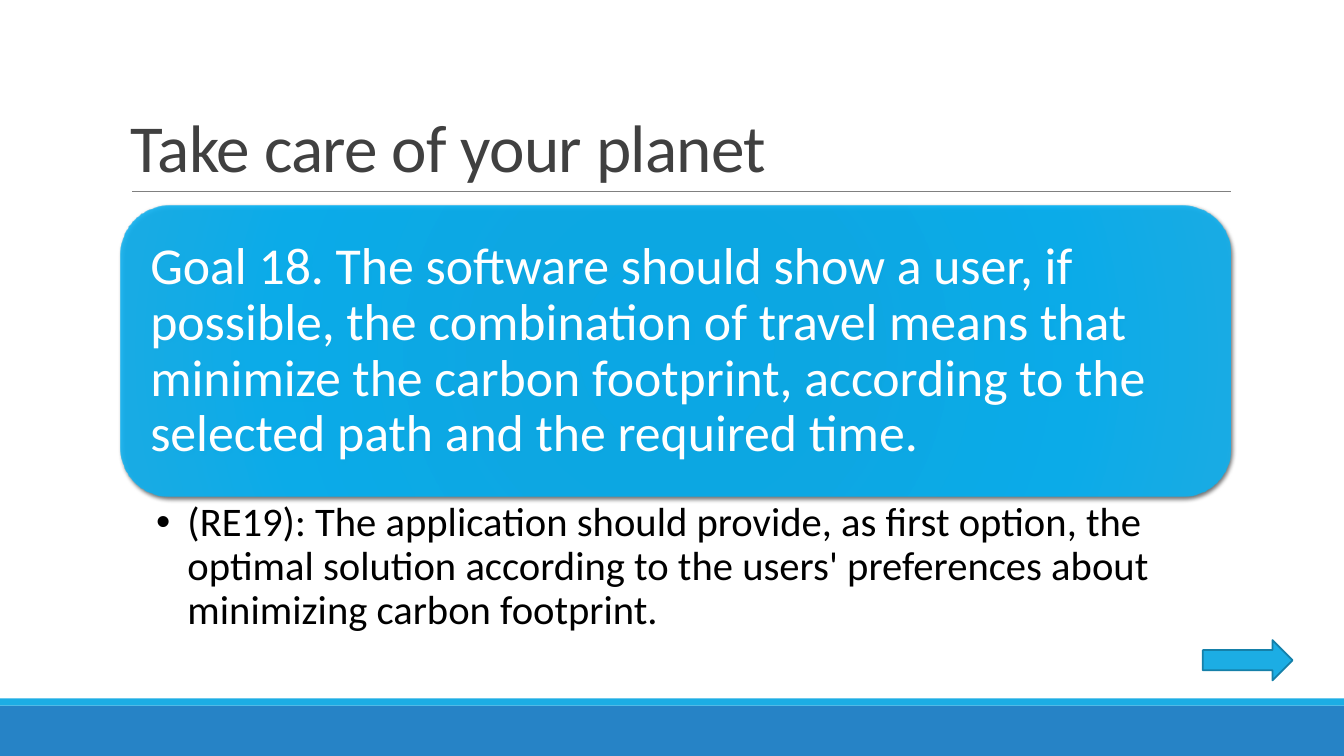
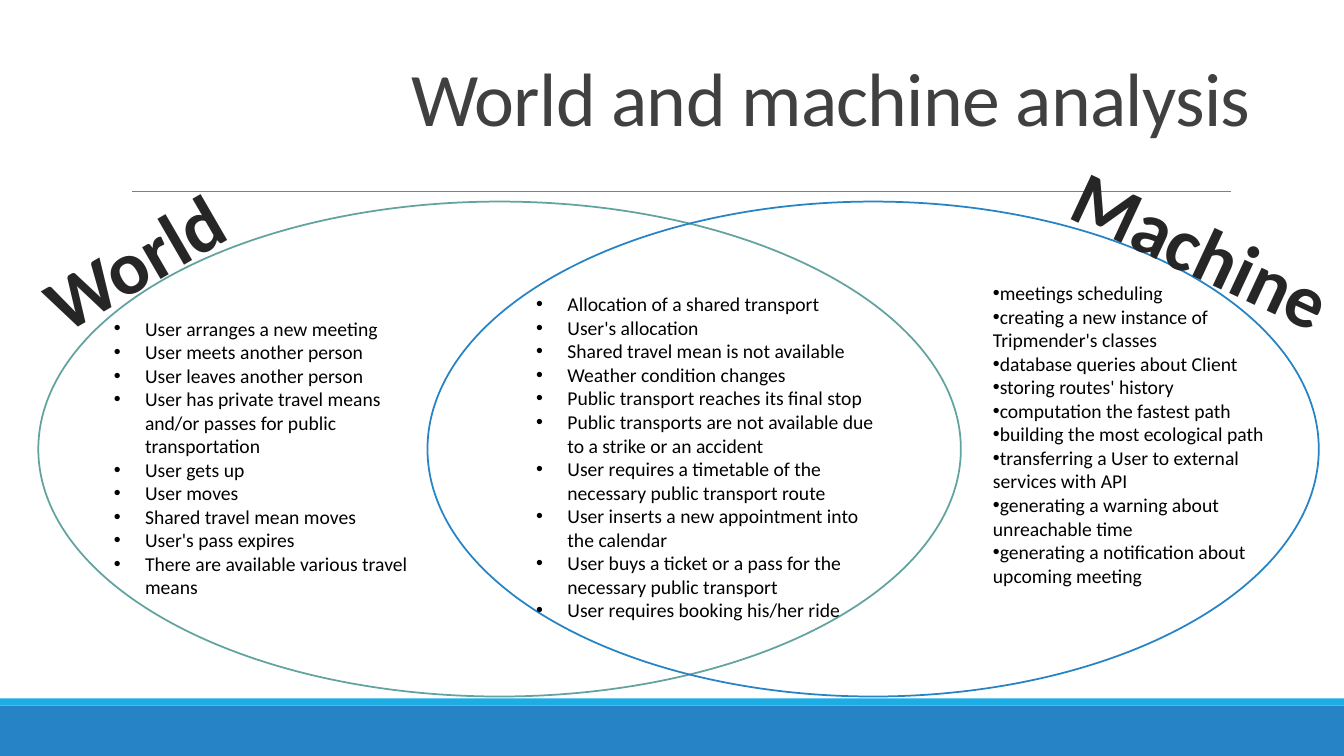
from dataclasses import dataclass
from typing import NamedTuple

from lxml.etree import SubElement
from pptx import Presentation
from pptx.dml.color import RGBColor
from pptx.enum.shapes import MSO_CONNECTOR as Connector, MSO_SHAPE as Preset
from pptx.enum.text import MSO_ANCHOR as Anchor, PP_ALIGN as Align
from pptx.oxml import parse_xml
from pptx.oxml.ns import nsdecls, qn
from pptx.util import Emu, Pt

PX = 9144


class Box(NamedTuple):
    """A rectangle in px, at 100 px to the inch."""
    left: int
    top: int
    width: int
    height: int

    def emu(self):
        """Return the four lengths in EMU."""
        return [Emu(length * PX) for length in self]

    def within(self, left, top, width, height):
        """Return a box placed relative to this one."""
        return Box(self.left + left, self.top + top, width, height)


@dataclass(frozen=True)
class Theme:
    """Colours, font and type sizes shared by the slides."""
    font: str = "Calibri"
    blue: str = "2683C6"
    cyan: str = "1CADE4"
    cyan_dark: str = "1580A9"
    green: str = "62A39F"
    rule: str = "808080"
    title: str = "404040"
    label: str = "262626"
    text: str = "000000"
    white: str = "FFFFFF"
    card_stops: tuple = ((0, "00ADEF"), (34, "03ADEE"), (70, "00B1F5"), (100, "12B1EE"))
    title_size: int = 48
    display_size: int = 54
    goal_size: int = 37
    requirement_size: int = 29
    list_size: int = 14
    outline: float = 1.25


THEME = Theme()
PAGE = Box(0, 0, 1333, 750)
TEXT_INSETS = (10, 5, 10, 5)

GOAL = (
    "Goal 18. The software should show a user, if possible, the combination of "
    "travel means that minimize the carbon footprint, according to the selected "
    "path and the required time."
)
REQUIREMENT = (
    "(RE19): The application should provide, as first option, the optimal solution "
    "according to the users' preferences about minimizing carbon footprint."
)
WORLD_ITEMS = (
    "User arranges a new meeting",
    "User meets another person",
    "User leaves another person",
    "User has private travel means and/or passes for public transportation",
    "User gets up",
    "User moves",
    "Shared travel mean moves",
    "User's pass expires",
    "There are available various travel means",
)
SHARED_ITEMS = (
    "Allocation of a shared transport",
    "User's allocation",
    "Shared travel mean is not available",
    "Weather condition changes",
    "Public transport reaches its final stop",
    "Public transports are not available due to a strike or an accident",
    "User requires a timetable of the necessary public transport route",
    "User inserts a new appointment into the calendar",
    "User buys a ticket or a pass for the necessary public transport",
    "User requires booking his/her ride",
)
MACHINE_ITEMS = (
    "meetings scheduling",
    "creating a new instance of Tripmender's classes",
    "database queries about Client",
    "storing routes' history",
    "computation the fastest path",
    "building the most ecological path",
    "transferring a User to external services with API",
    "generating a warning about unreachable time",
    "generating a notification about upcoming meeting",
)


def color(value):
    """Turn a hex string into a colour."""
    return RGBColor.from_string(value)


def add_bullet(paragraph, indent):
    """Give a paragraph a round bullet with a hanging indent in px."""
    properties = paragraph._p.get_or_add_pPr()
    properties.set("marL", str(indent * PX))
    properties.set("indent", str(-indent * PX))
    SubElement(properties, qn("a:buFont"), typeface="Arial")
    SubElement(properties, qn("a:buChar"), char="•")


def write_text(shape, lines, size, ink, *, align=Align.LEFT, anchor=Anchor.TOP,
               insets=TEXT_INSETS, wrap=True, bold=False, spacing=1.0,
               bullet_indent=None, tracking=0):
    """Fill a shape with equally styled paragraphs."""
    frame = shape.text_frame
    frame.word_wrap = wrap
    frame.vertical_anchor = anchor
    (frame.margin_left, frame.margin_top,
     frame.margin_right, frame.margin_bottom) = [Emu(inset * PX) for inset in insets]
    frame.text = "\n".join(lines)
    for paragraph in frame.paragraphs:
        if bullet_indent is not None:
            add_bullet(paragraph, bullet_indent)
        paragraph.alignment = align
        paragraph.line_spacing = spacing
        font = paragraph.font
        font.name = THEME.font
        font.size = Pt(size)
        font.bold = bold
        font.color.rgb = color(ink)
        if tracking:
            font._rPr.set("spc", str(tracking))


def add_text(slide, box, lines, size, ink, **style):
    """Add a text box and return it."""
    shape = slide.shapes.add_textbox(*box.emu())
    write_text(shape, lines, size, ink, **style)
    return shape


def add_preset(slide, preset, box, fill=None, line=None):
    """Add a preset shape with a plain fill and outline."""
    shape = slide.shapes.add_shape(preset, *box.emu())
    shape.shadow.inherit = False
    if fill:
        shape.fill.solid()
        shape.fill.fore_color.rgb = color(fill)
    else:
        shape.fill.background()
    if line:
        shape.line.color.rgb = color(line)
        shape.line.width = Pt(THEME.outline)
    else:
        shape.line.fill.background()
    return shape


def add_frame(slide, page):
    """Draw the bottom bands and the rule below the title."""
    add_preset(slide, Preset.RECTANGLE, page.within(0, 700, page.width, 50), THEME.blue)
    add_preset(slide, Preset.RECTANGLE, page.within(0, 693, page.width, 7), THEME.cyan)
    left, top, width, _ = page.within(131, 190, 1090, 0).emu()
    rule = slide.shapes.add_connector(Connector.STRAIGHT, left, top, left + width, top)
    rule.line.color.rgb = color(THEME.rule)
    rule.line.width = Pt(0.5)
    SubElement(rule._element.spPr, qn("a:effectLst"))


def add_title(slide, box, text, size, align=Align.LEFT):
    """Write a slide title on the bottom of its box."""
    add_text(slide, box, [text], size, THEME.title, align=align,
             anchor=Anchor.BOTTOM, spacing=0.85, tracking=-50)


def style_card(card):
    """Give a card its radial gradient and soft shadow."""
    stops = "".join(
        f'<a:gs pos="{position * 1000}"><a:srgbClr val="{value}">'
        '<a:alpha val="90000"/></a:srgbClr></a:gs>'
        for position, value in THEME.card_stops
    )
    properties = card._element.spPr
    properties.remove(properties.find(qn("a:noFill")))
    properties.find(qn("a:prstGeom")).addnext(parse_xml(
        f'<a:gradFill {nsdecls("a")} rotWithShape="1"><a:gsLst>{stops}</a:gsLst>'
        '<a:path path="circle"><a:fillToRect l="100000" t="100000" r="100000" b="100000"/>'
        '</a:path></a:gradFill>'))
    properties.find(qn("a:effectLst")).append(parse_xml(
        f'<a:outerShdw {nsdecls("a")} blurRad="{Pt(3)}" dist="{Pt(2)}" dir="2700000" '
        'algn="ctr" rotWithShape="0"><a:srgbClr val="000000"><a:alpha val="60000"/>'
        '</a:srgbClr></a:outerShdw>'))


def add_goal(slide, box):
    """Place the goal card with its requirement underneath."""
    card_height = 289
    card = add_preset(slide, Preset.ROUNDED_RECTANGLE, box._replace(height=card_height))
    style_card(card)
    write_text(card, [GOAL], THEME.goal_size, THEME.white, anchor=Anchor.MIDDLE,
               insets=(15, 15, 15, 15), spacing=0.9)
    add_text(slide, box.within(0, card_height, box.width, box.height - card_height),
             [REQUIREMENT], THEME.requirement_size, THEME.text,
             insets=(35, 5, 29, 5), spacing=0.9, bullet_indent=31)


def add_venn(slide, box):
    """Place two overlapping ellipses with their lists and slanted labels."""
    ellipses = ((0, 915, THEME.green), (386, 884, THEME.blue))
    for left, width, line in ellipses:
        add_preset(slide, Preset.OVAL, box.within(left, 0, width, box.height), line=line)
    lists = (
        (box.within(65, 109, 332, 316), WORLD_ITEMS, 31),
        (box.within(484, 85, 356, 340), SHARED_ITEMS, 31),
        (box.within(937, 74, 324, 316), MACHINE_ITEMS, 0),
    )
    for place, items, indent in lists:
        add_text(slide, place, items, THEME.list_size, THEME.text, bullet_indent=indent)
    labels = (
        (box.within(-12, 8, 213, 101), "World", 329.9),
        (box.within(1008, -4, 293, 101), "Machine", 25.1),
    )
    for place, word, angle in labels:
        label = add_text(slide, place, [word], THEME.display_size, THEME.label,
                         align=Align.CENTER, wrap=False, bold=True)
        label.rotation = angle


def build_goal_slide(slide, page):
    """Build the slide about the carbon footprint goal."""
    add_frame(slide, page)
    add_title(slide, page.within(120, 31, 1100, 159), "Take care of your planet",
              THEME.title_size)
    add_goal(slide, page.within(120, 204, 1100, 436))
    add_preset(slide, Preset.RIGHT_ARROW, page.within(1193, 635, 89, 40),
               THEME.cyan, THEME.cyan_dark)


def build_analysis_slide(slide, page):
    """Build the slide with the world and machine diagram."""
    add_frame(slide, page)
    add_title(slide, page.within(150, 18, 1100, 128), "World and machine analysis",
              THEME.display_size, Align.RIGHT)
    add_venn(slide, page.within(38, 200, 1270, 491))


def main():
    """Build and save the presentation."""
    presentation = Presentation()
    _, _, presentation.slide_width, presentation.slide_height = PAGE.emu()
    blank = presentation.slide_layouts[6]
    for build in (build_goal_slide, build_analysis_slide):
        build(presentation.slides.add_slide(blank), PAGE)
    presentation.save("out.pptx")


if __name__ == "__main__":
    main()
